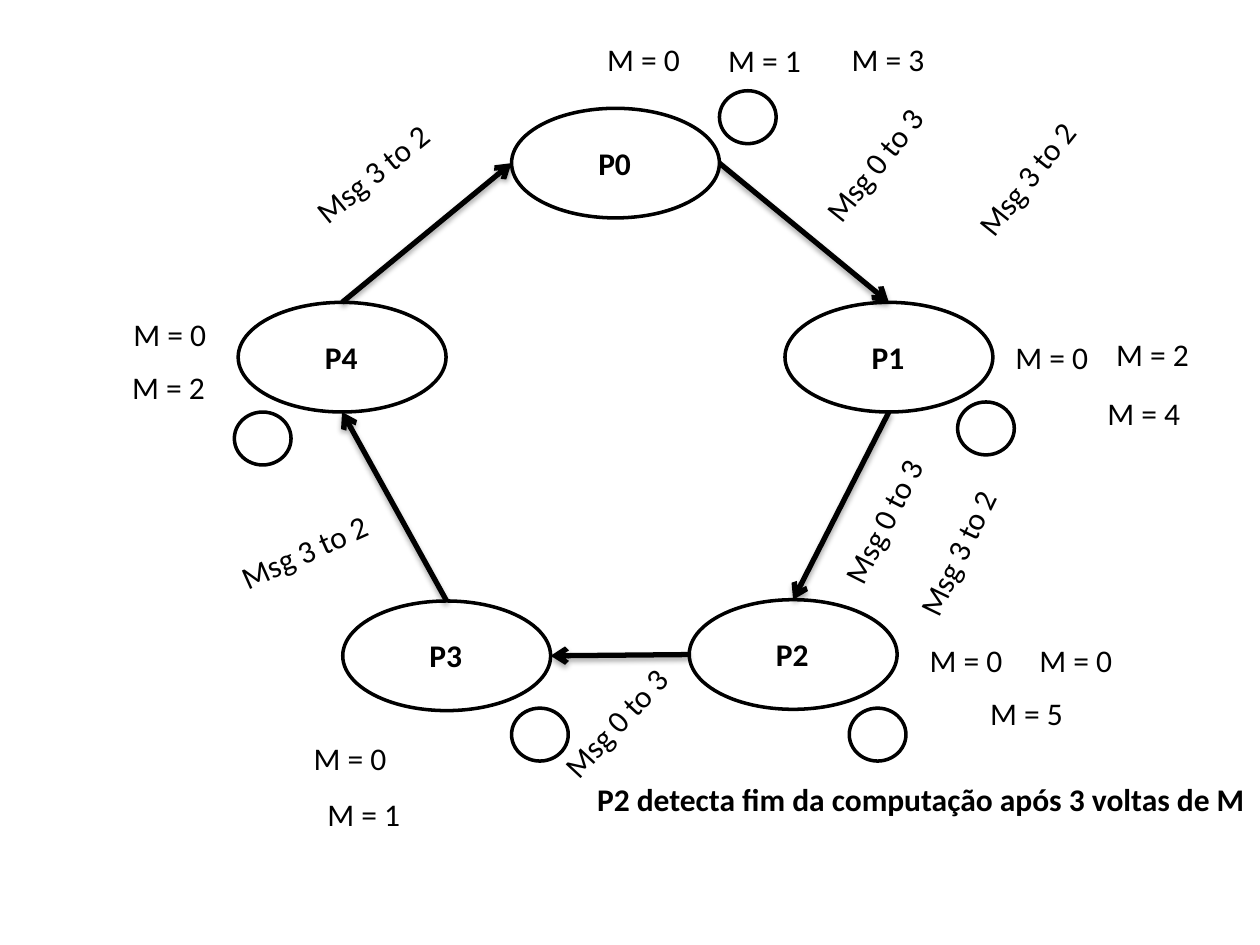
import pptx
import pptx.dml.color
import pptx.enum.shapes
import pptx.enum.text
import pptx.oxml
import pptx.oxml.ns
import pptx.util

THEME = {
    "ink": pptx.dml.color.RGBColor(0, 0, 0),
    "paper": pptx.dml.color.RGBColor(255, 255, 255),
    "font": "Calibri",
    "size": pptx.util.Pt(18),
    "outline": pptx.util.Pt(2),
    "arrow": pptx.util.Pt(3),
}

deck = pptx.Presentation()
deck.slide_width = pptx.util.Inches(10)
deck.slide_height = pptx.util.Inches(7.5)
page = deck.slides.add_slide(deck.slide_layouts[6])

# Grid of 100 columns by 75 rows
COLUMN = deck.slide_width / 100
ROW = deck.slide_height / 75


def add_ellipse(left, top, width, height):
    oval = page.shapes.add_shape(
        pptx.enum.shapes.MSO_SHAPE.OVAL,
        round(left * COLUMN), round(top * ROW), round(width * COLUMN), round(height * ROW))
    oval.shadow.inherit = False
    oval.fill.solid()
    oval.fill.fore_color.rgb = THEME["paper"]
    oval.line.color.rgb = THEME["ink"]
    oval.line.width = THEME["outline"]


def add_label(text, left, top, width, bold=False, angle=0, wrap=False):
    box = page.shapes.add_textbox(
        round(left * COLUMN), round(top * ROW), round(width * COLUMN), round(4 * ROW))
    box.rotation = angle
    frame = box.text_frame
    frame.word_wrap = wrap
    frame.auto_size = pptx.enum.text.MSO_AUTO_SIZE.SHAPE_TO_FIT_TEXT
    para = frame.paragraphs[0]
    para.text = text
    para.font.name = THEME["font"]
    para.font.size = THEME["size"]
    para.font.bold = bold
    para.font.color.rgb = THEME["ink"]


# Processes on the ring: left and top of each ellipse
NODE_WIDTH, NODE_HEIGHT = 16.5, 8.7
nodes = {
    "P0": (40.6, 8.6),
    "P1": (62.3, 24),
    "P2": (54.7, 47.6),
    "P3": (27.2, 47.7),
    "P4": (18.9, 24),
}
for left, top in nodes.values():
    add_ellipse(left, top, NODE_WIDTH, NODE_HEIGHT)

# Arrows around the ring, from one side of a process to a side of the next
sides = {"top": (0.5, 0), "right": (1, 0.5), "bottom": (0.5, 1), "left": (0, 0.5)}
links = [
    ("P0", "right", "P1", "top"),
    ("P1", "bottom", "P2", "top"),
    ("P2", "left", "P3", "right"),
    ("P3", "top", "P4", "bottom"),
    ("P4", "top", "P0", "left"),
]
DRAWING = pptx.oxml.ns.nsdecls("a")
for source, exit_side, target, entry_side in links:
    ends = []
    for name, side in ((source, exit_side), (target, entry_side)):
        across, down = sides[side]
        ends.append(round((nodes[name][0] + across * NODE_WIDTH) * COLUMN))
        ends.append(round((nodes[name][1] + down * NODE_HEIGHT) * ROW))
    arrow = page.shapes.add_connector(pptx.enum.shapes.MSO_CONNECTOR.STRAIGHT, *ends)
    arrow.line.color.rgb = THEME["ink"]
    arrow.line.width = THEME["arrow"]
    arrow.line._get_or_add_ln().append(
        pptx.oxml.parse_xml(f'<a:tailEnd {DRAWING} type="arrow"/>'))
    arrow._element.spPr.append(pptx.oxml.parse_xml(
        f'<a:effectLst {DRAWING}><a:outerShdw blurRad="40000" dist="23000" dir="5400000" '
        f'rotWithShape="0"><a:srgbClr val="{THEME["ink"]}"><a:alpha val="35000"/>'
        '</a:srgbClr></a:outerShdw></a:effectLst>'))

# Process names
for name, (left, top) in nodes.items():
    add_label(name, left + 5.9, top + 2.3, 4.7, bold=True, wrap=True)

# Small circle beside each process
for left, top in [(57.1, 7.2), (76, 31.9), (67.4, 56.2), (40.6, 56.2), (18.6, 32.7)]:
    add_ellipse(left, top, 4.5, 4.2)

# Messages travelling along the arrows: left, top, angle
messages = {
    "Msg 0 to 3": [(63, 11, 308.6), (63.7, 39.3, 296.9), (42.5, 55.3, 312.9)],
    "Msg 3 to 2": [(75.1, 12.1, 308.6), (69.6, 41.8, 295.9),
                   (17.8, 41.7, 335.8), (23.2, 11.7, 320.8)],
}
for text, places in messages.items():
    for left, top, angle in places:
        add_label(text, left, top, 12.8, angle=angle)

# Values of M noted beside each process: value, left, top
counters = [
    (0, 47.2, 2.7), (1, 56.8, 2.8), (3, 66.6, 2.7),      # P0
    (0, 79.6, 26.3), (2, 87.6, 26.1), (4, 86.9, 30.8),   # P1
    (0, 72.8, 50.4), (0, 81.5, 50.4), (5, 77.6, 54.6),   # P2
    (0, 23.9, 58.2), (1, 25, 62.6),                      # P3
    (0, 9.6, 24.5), (2, 9.5, 28.7),                      # P4
]
for value, left, top in counters:
    add_label(f"M = {value}", left, top, 7.9)

# Conclusion
add_label("P2 detecta fim da computação após 3 voltas de M", 46.4, 61.4, 53.8, bold=True)

deck.save("out.pptx")
